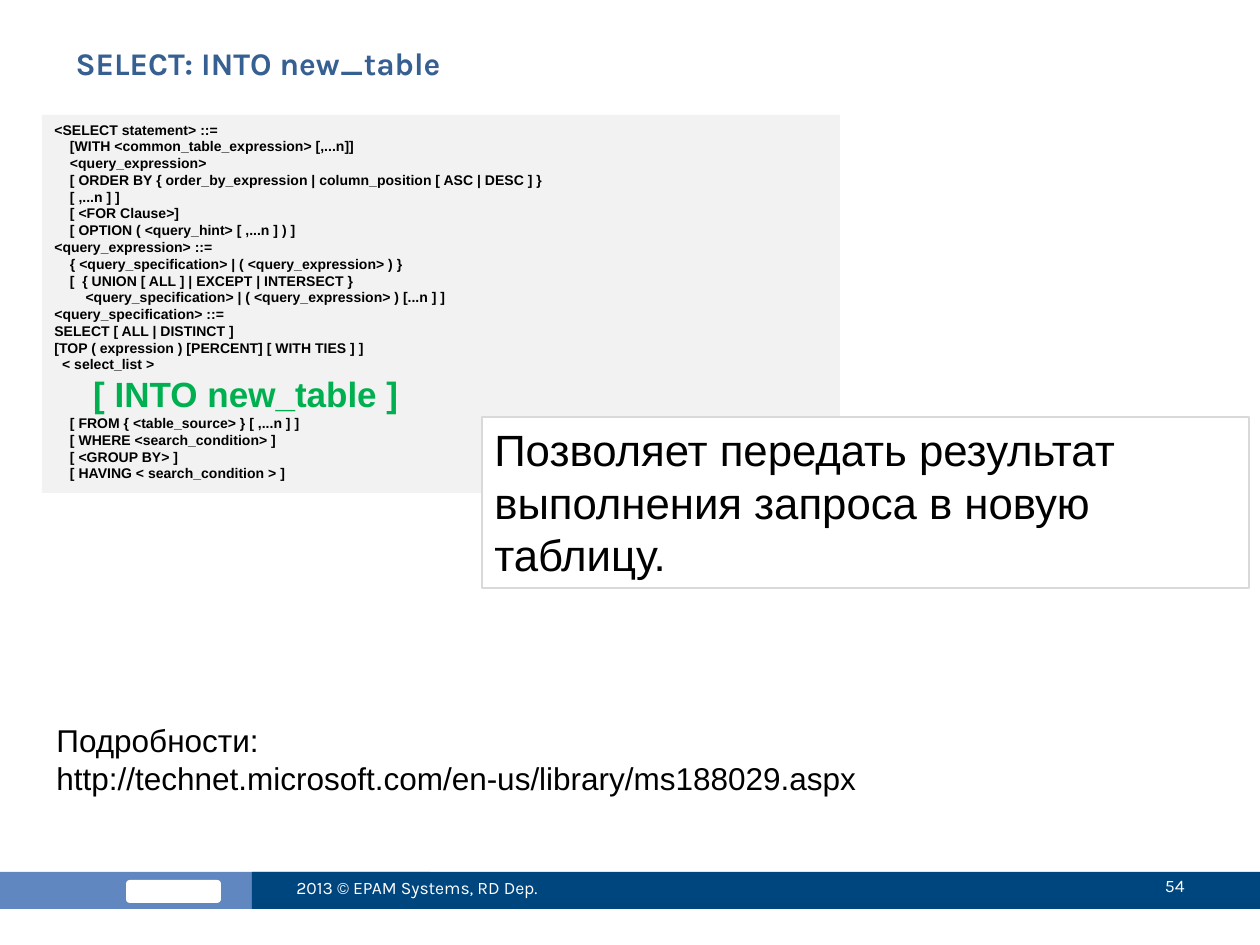
from pptx import Presentation
from pptx import util as u
from pptx.dml.color import RGBColor
from pptx.enum import shapes, text

PX = 914400 // 126  # EMU in one px
WIDTH, HEIGHT = u.Inches(10), u.Inches(7.5)

BLACK = RGBColor(0x00, 0x00, 0x00)
WHITE = RGBColor(0xFF, 0xFF, 0xFF)
TITLE_BLUE = RGBColor(0x37, 0x60, 0x92)
LIGHT_BLUE = RGBColor(0x60, 0x87, 0xBF)
DARK_BLUE = RGBColor(0x00, 0x46, 0x7E)
GREEN = RGBColor(0x00, 0xB0, 0x50)
PALE_GREY = RGBColor(0xF2, 0xF2, 0xF2)
LINE_GREY = RGBColor(0xD9, 0xD9, 0xD9)

INTO_CLAUSE = "    [ INTO new_table ]"
SYNTAX = """<SELECT statement> ::=
    [WITH <common_table_expression> [,...n]]
    <query_expression>
    [ ORDER BY { order_by_expression | column_position [ ASC | DESC ] }
    [ ,...n ] ]
    [ <FOR Clause>]
    [ OPTION ( <query_hint> [ ,...n ] ) ]
<query_expression> ::=
    { <query_specification> | ( <query_expression> ) }
    [  { UNION [ ALL ] | EXCEPT | INTERSECT }
        <query_specification> | ( <query_expression> ) [...n ] ]
<query_specification> ::=
SELECT [ ALL | DISTINCT ]
[TOP ( expression ) [PERCENT] [ WITH TIES ] ]
  < select_list >
    [ INTO new_table ]
    [ FROM { <table_source> } [ ,...n ] ]
    [ WHERE <search_condition> ]
    [ <GROUP BY> ]
    [ HAVING < search_condition > ]"""


def write(shape, content, size=18, font="Arial", color=BLACK, bold=False,
          align=text.PP_ALIGN.LEFT, anchor=text.MSO_ANCHOR.TOP, highlights=None):
    """Fill a shape with one paragraph a line; highlights maps a line to (size, colour)."""
    frame = shape.text_frame
    frame.word_wrap = True
    frame.auto_size = text.MSO_AUTO_SIZE.NONE
    frame.vertical_anchor = anchor
    for index, line in enumerate(content.split("\n")):
        paragraph = frame.paragraphs[0] if index == 0 else frame.add_paragraph()
        paragraph.alignment = align
        run = paragraph.add_run()
        run.text = line
        line_size, line_color = (highlights or {}).get(line, (size, color))
        run.font.size = u.Pt(line_size)
        run.font.name = font
        run.font.bold = bold
        run.font.color.rgb = line_color


class SlideBuilder:
    heading_font = "Karla"

    def __init__(self, presentation):
        self.slide = presentation.slides.add_slide(presentation.slide_layouts[5])

    def box(self, left, top, width, height):
        return [length * PX for length in (left, top, width, height)]

    def title(self, content, *place):
        shape = self.slide.shapes.title
        shape.left, shape.top, shape.width, shape.height = self.box(*place)
        write(shape, content, font=self.heading_font, color=TITLE_BLUE, bold=True)

    def rectangle(self, *place, fill, line=None, kind=shapes.MSO_SHAPE.RECTANGLE):
        shape = self.slide.shapes.add_shape(kind, *self.box(*place))
        shape.shadow.inherit = False
        shape.fill.solid()
        shape.fill.fore_color.rgb = fill
        if line is None:
            shape.line.fill.background()
        else:
            shape.line.color.rgb = line
            shape.line.width = u.Pt(0.75)
        return shape

    def label(self, content, *place, **style):
        write(self.slide.shapes.add_textbox(*self.box(*place)), content, **style)

    def footer(self, content, *place, **style):
        self.label(content, *place, size=10, font=self.heading_font, color=WHITE,
                   anchor=text.MSO_ANCHOR.MIDDLE, **style)


def main():
    presentation = Presentation()
    presentation.slide_width, presentation.slide_height = WIDTH, HEIGHT
    builder = SlideBuilder(presentation)

    # Footer band with a plain badge
    builder.rectangle(-2, 872, 432, 37, fill=LIGHT_BLUE)
    builder.rectangle(126, 880, 95, 23, fill=WHITE,
                      kind=shapes.MSO_SHAPE.ROUNDED_RECTANGLE)
    builder.rectangle(252, 872, 1008, 37, fill=DARK_BLUE)
    builder.footer("2013 © EPAM Systems, RD Dep.", 284, 863, 336, 50)
    builder.footer("54", 1061, 861, 136, 50, align=text.PP_ALIGN.RIGHT)

    # Title
    builder.title("SELECT: INTO new_table", 63, 38, 1134, 98)

    # Statement syntax
    syntax = builder.rectangle(42, 115, 798, 378, fill=PALE_GREY)
    write(syntax, SYNTAX, size=8, bold=True, highlights={INTO_CLAUSE: (20, GREEN)})

    # Explanation
    note = builder.rectangle(482, 417, 767, 171, fill=WHITE, line=LINE_GREY)
    write(note, "Позволяет передать результат выполнения запроса в новую таблицу.", size=25)

    # Link to details
    builder.label("Подробности:\nhttp://technet.microsoft.com/en-us/library/ms188029.aspx",
                  44, 715, 1143, 89)

    presentation.save("out.pptx")


if __name__ == "__main__":
    main()
